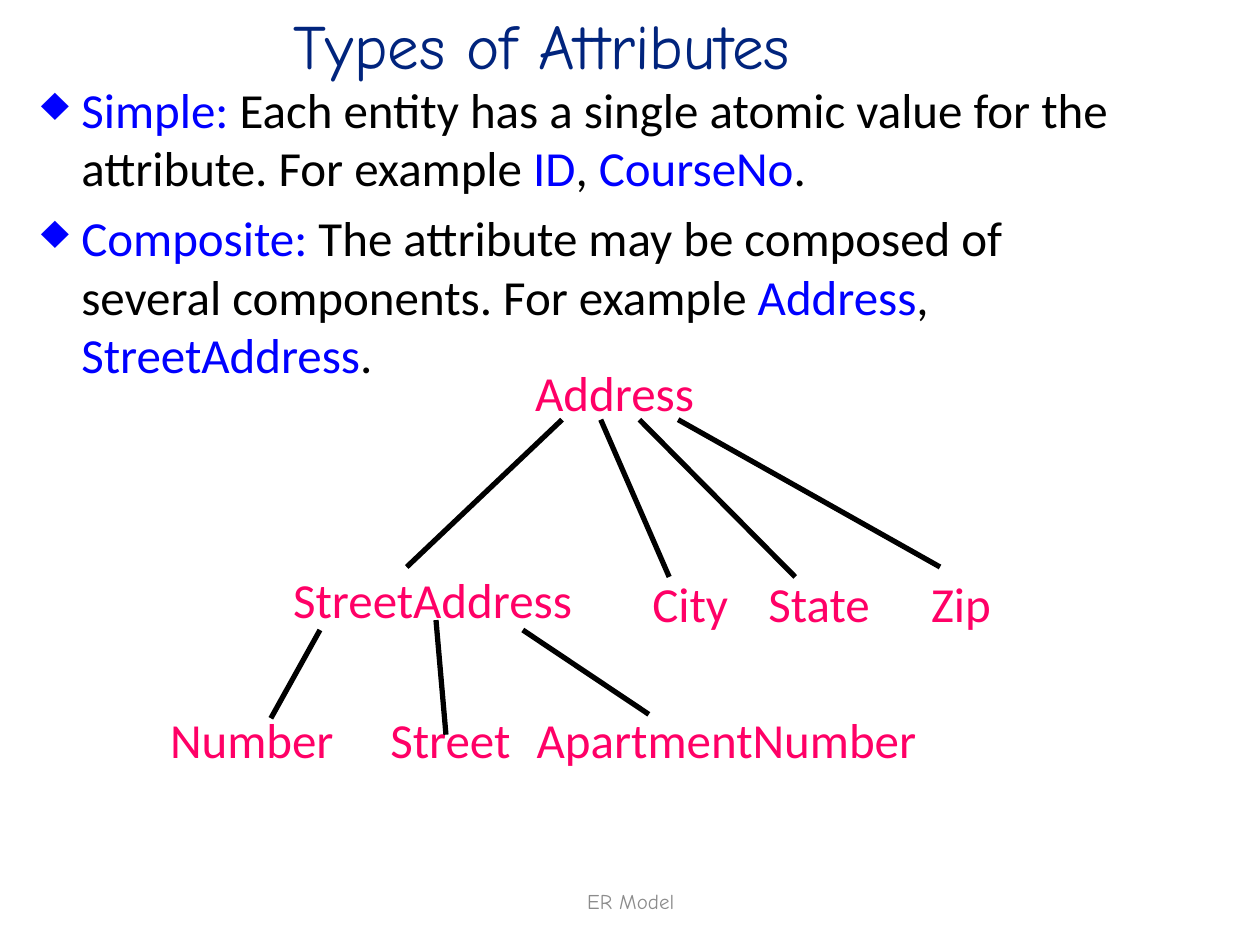
from dataclasses import dataclass
from typing import Any

import lxml.etree
import pptx
import pptx.dml.color
import pptx.enum.shapes
import pptx.enum.text
import pptx.oxml.ns
import pptx.util

Cm = pptx.util.Cm
Pt = pptx.util.Pt
qn = pptx.oxml.ns.qn
Color = pptx.dml.color.RGBColor.from_string
Align = pptx.enum.text.PP_ALIGN
Anchor = pptx.enum.text.MSO_ANCHOR
Fit = pptx.enum.text.MSO_AUTO_SIZE


@dataclass(frozen=True)
class Theme:
    head: str = "Comic Neue"
    text: str = "Calibri"
    navy: str = "01247D"
    gray: str = "8C8C8C"
    blue: str = "0000FF"
    black: str = "000000"
    pink: str = "FF0066"
    big: int = 36
    mid: int = 28
    small: int = 12
    stroke: int = 3
    gap: int = 6


@dataclass(frozen=True)
class Node:
    text: str
    left: float
    top: float
    width: float


@dataclass(frozen=True)
class Edge:
    x1: float
    y1: float
    x2: float
    y2: float


theme = Theme()

NODES = [
    Node("Address", 10.54, 7.19, 3.76),
    Node("StreetAddress", 5.66, 11.35, 6.2),
    Node("City", 12.9, 11.43, 2.06),
    Node("State", 15.24, 11.43, 2.59),
    Node("Zip", 18.52, 11.43, 1.73),
    Node("Number", 3.18, 14.17, 3.84),
    Node("Street", 7.62, 14.17, 2.95),
    Node("ApartmentNumber", 10.57, 14.17, 8.26),
]

ENDS = [(8.2, 11.43), (13.49, 11.63), (16.03, 11.63), (18.95, 11.43)]
EDGES = [Edge(11.33 + 0.78 * i, 8.46, x, y) for i, (x, y) in enumerate(ENDS)] + [
    Edge(6.45, 12.7, 5.46, 14.48),
    Edge(8.79, 12.5, 8.99, 14.81),
    Edge(10.54, 12.7, 13.08, 14.4),
]

ITEMS = [
    ["Simple:", " Each entity has a single atomic value for the attribute. For example ",
     "ID", ", ", "CourseNo", "."],
    ["Composite:", " The attribute may be composed of several components. For example ",
     "Address", ", ", "StreetAddress", "."],
]


def apply(target: Any, values: dict[str, Any]) -> None:
    for name, value in values.items():
        setattr(target, name, value)


def add_box(slide: Any, left: float, top: float, width: float, height: float,
            **form: Any) -> Any:
    box = slide.shapes.add_textbox(Cm(left), Cm(top), Cm(width), Cm(height))
    apply(box.text_frame, {"word_wrap": True, "auto_size": Fit.SHAPE_TO_FIT_TEXT} | form)
    return box.text_frame


def add_run(para: Any, text: str, font: str, size: int, color: str) -> None:
    run = para.add_run()
    run.text = text
    apply(run.font, {"name": font, "size": Pt(size)})
    run.font.color.rgb = Color(color)


def add_item(para: Any, parts: list[str]) -> None:
    para.space_before = Pt(theme.gap)
    for i, part in enumerate(parts):
        add_run(para, part, theme.text, theme.mid, theme.black if i % 2 else theme.blue)
    props = para._p.get_or_add_pPr()
    props.set("marL", str(Cm(0.81)))
    props.set("indent", str(-Cm(0.81)))
    lxml.etree.SubElement(props, qn("a:buChar")).set("char", "♦")


def add_node(slide: Any, node: Node) -> None:
    frame = add_box(slide, node.left, node.top, node.width, 1.45, word_wrap=False)
    add_run(frame.paragraphs[0], node.text, theme.text, theme.mid, theme.pink)


def add_edge(slide: Any, edge: Edge) -> None:
    line = slide.shapes.add_connector(
        pptx.enum.shapes.MSO_CONNECTOR.STRAIGHT,
        Cm(edge.x1), Cm(edge.y1), Cm(edge.x2), Cm(edge.y2))
    line.line.width = Pt(theme.stroke)
    line.line.color.rgb = Color(theme.black)
    lxml.etree.SubElement(line._element.spPr, qn("a:effectLst"))


def main() -> None:
    deck = pptx.Presentation()
    apply(deck, {"slide_width": Cm(25.4), "slide_height": Cm(19.05)})
    slide = deck.slides.add_slide(deck.slide_layouts[6])

    foot = add_box(slide, 8.69, 17.65, 8.05, 1.02,
                   auto_size=Fit.NONE, vertical_anchor=Anchor.MIDDLE).paragraphs[0]
    foot.alignment = Align.CENTER
    add_run(foot, "ER Model", theme.head, theme.small, theme.gray)

    title = add_box(slide, 5.66, 0, 15.62, 1.78).paragraphs[0]
    title.space_before = Pt(theme.gap)
    add_run(title, "Types of Attributes", theme.head, theme.big, theme.navy)

    body = add_box(slide, 0.58, 1.47, 22.86, 6.45)
    for i, parts in enumerate(ITEMS):
        add_item(body.add_paragraph() if i else body.paragraphs[0], parts)

    for node in NODES:
        add_node(slide, node)
    for edge in EDGES:
        add_edge(slide, edge)

    deck.save("out.pptx")


main()
